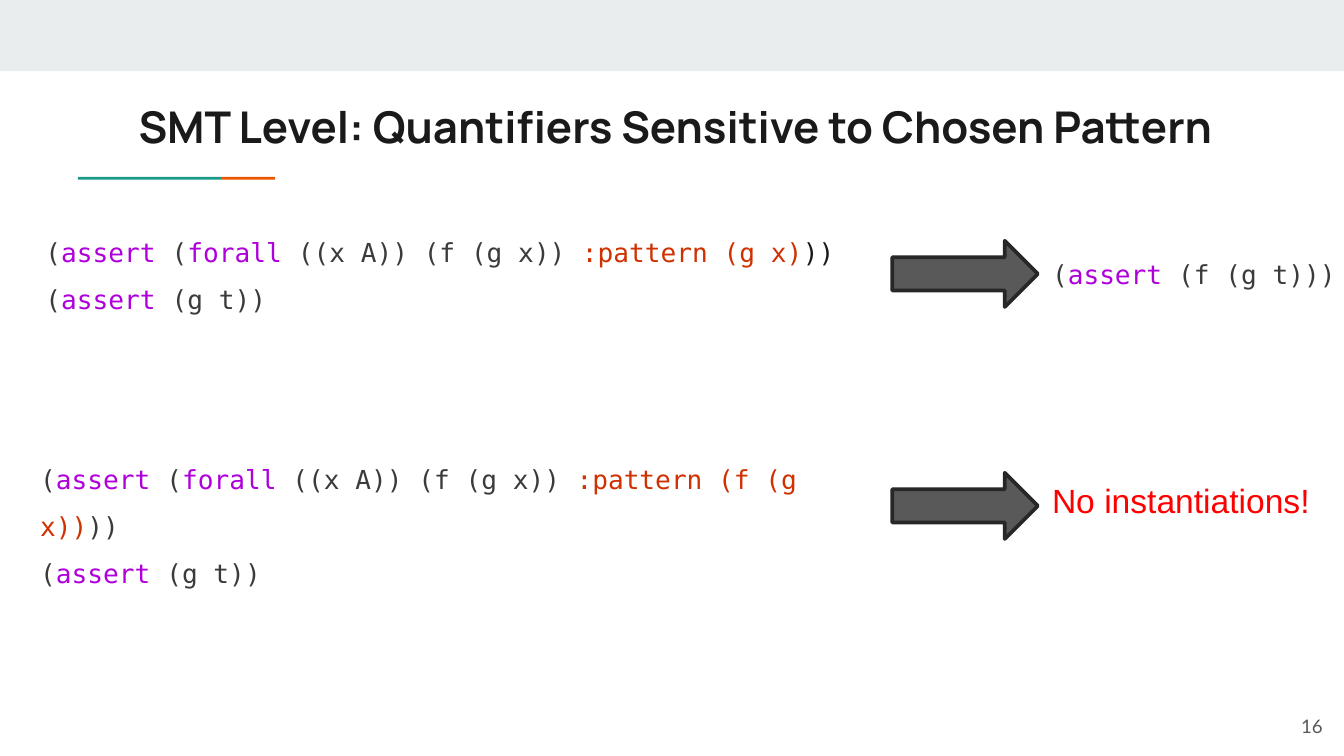
from pptx import Presentation
from pptx.dml.color import RGBColor
from pptx.enum.shapes import MSO_SHAPE
from pptx.enum.text import MSO_ANCHOR, MSO_AUTO_SIZE, PP_ALIGN
from pptx.util import Pt

RECTANGLE, ARROW = MSO_SHAPE.RECTANGLE, MSO_SHAPE.RIGHT_ARROW
TOP, MIDDLE = MSO_ANCHOR.TOP, MSO_ANCHOR.MIDDLE
LEFT, RIGHT = PP_ALIGN.LEFT, PP_ALIGN.RIGHT
NO_AUTOFIT = MSO_AUTO_SIZE.NONE

COLORS = {
    "band": "E9EDEE", "teal": "1A9988", "orange": "EB5600",
    "title": "1A1A1A", "number": "595959", "warning": "FF0000",
    "arrow": "595959", "outline": "272727",
    "code": "3B3B3B", "keyword": "AF00DB", "pattern": "D03100",
}
FORMATS = {
    "title": {"name": "Manrope", "size": Pt(23.4), "bold": True},
    "number": {"name": "Lato", "size": Pt(10)},
    "code": {"name": "DejaVu Sans Mono", "size": Pt(14)},
    "warning": {"name": "Arial", "size": Pt(18)},
}

deck = Presentation()
deck.slide_width, deck.slide_height = Pt(720), Pt(405)
page = deck.slides.add_slide(deck.slide_layouts[5])


def add_block(shape_type, bounds, fill):
    block = page.shapes.add_shape(shape_type, *map(Pt, bounds))
    block.shadow.inherit = False
    block.fill.solid()
    block.fill.fore_color.rgb = RGBColor.from_string(COLORS[fill])
    block.line.fill.background()
    return block


def fill_text(box, bounds, lines, style, anchor=TOP, align=LEFT, inset=3.6, spacing=1.0):
    box.left, box.top, box.width, box.height = map(Pt, bounds)
    frame = box.text_frame
    settings = {
        "word_wrap": True, "auto_size": NO_AUTOFIT, "vertical_anchor": anchor,
        "margin_left": Pt(7.2), "margin_right": Pt(7.2),
        "margin_top": Pt(inset), "margin_bottom": Pt(inset),
    }
    for name, value in settings.items():
        setattr(frame, name, value)
    for index, line in enumerate(lines):
        paragraph = frame.add_paragraph() if index else frame.paragraphs[0]
        paragraph.alignment = align
        paragraph.line_spacing = spacing
        for text, color in line:
            span = paragraph.add_run()
            span.text = text
            for name, value in FORMATS[style].items():
                setattr(span.font, name, value)
            span.font.color.rgb = RGBColor.from_string(COLORS[color])


# Top band and two-colour rule under the title
add_block(RECTANGLE, (0, 0, 720, 38.2), "band")
add_block(RECTANGLE, (41.8, 94.7, 76.6, 1.5), "teal")
add_block(RECTANGLE, (118.4, 94.7, 29, 1.5), "orange")

# Title and page number
fill_text(page.shapes.title, (67, 46, 605.5, 42.5),
          [[("SMT Level: Quantifiers Sensitive to Chosen Pattern", "title")]],
          "title", inset=7.2)
fill_text(page.shapes.add_textbox(0, 0, 0, 0), (672.5, 373.7, 43.2, 31),
          [[("16", "number")]], "number", MIDDLE, RIGHT, inset=7.2)

# Quantified assertions, one for each choice of pattern
assertions = [
    ((17.3, 114.5, 443, 106.6), "(g x)", "title"),
    ((14.4, 236.2, 469, 106.6), "(f (g x))", "code"),
]
for bounds, pattern, closing in assertions:
    lines = [
        [("(", "code"), ("assert", "keyword"), (" (", "code"), ("forall", "keyword"),
         (" ((x A)) (f (g x)) ", "code"), (":pattern " + pattern, "pattern"), ("))", closing)],
        [("(", "code"), ("assert", "keyword"), (" (g t))", "code")],
    ]
    fill_text(page.shapes.add_textbox(0, 0, 0, 0), bounds, lines, "code", spacing=1.5)

# Arrows to the outcomes
for top in (129, 253.3):
    arrow = add_block(ARROW, (478, top, 78, 35.5), "arrow")
    arrow.line.color.rgb = RGBColor.from_string(COLORS["outline"])
    arrow.line.width = Pt(2)

# Outcomes
fill_text(page.shapes.add_textbox(0, 0, 0, 0), (556.5, 126.7, 171.4, 56.2),
          [[("(", "code"), ("assert", "keyword"), (" (f (g t)))", "code")]],
          "code", spacing=1.5)
fill_text(page.shapes.add_textbox(0, 0, 0, 0), (556.5, 253.4, 207.4, 28.8),
          [[("No instantiations!", "warning")]], "warning")

deck.save("out.pptx")
